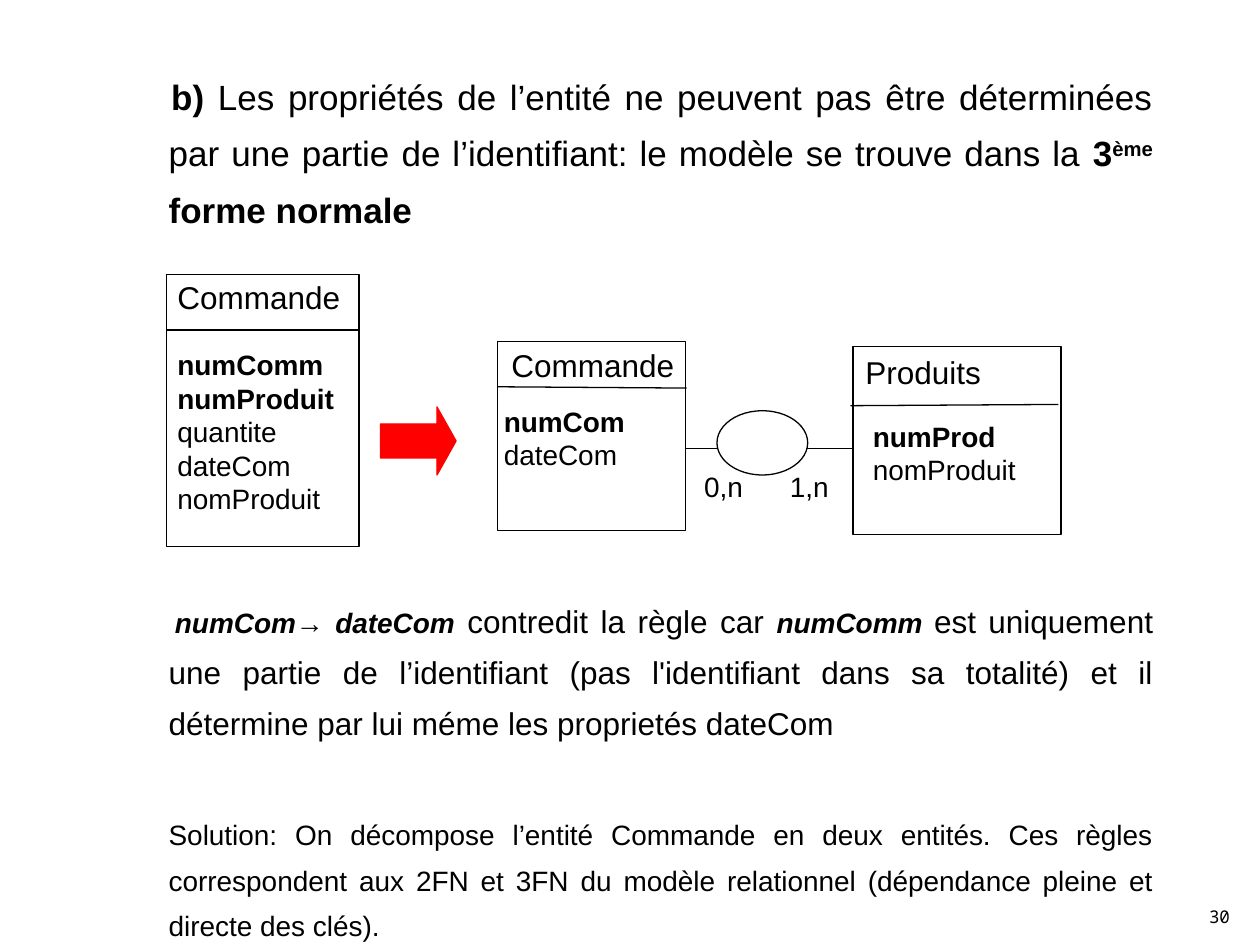
from pptx import Presentation
from pptx.dml.color import RGBColor
from pptx.enum.shapes import MSO_CONNECTOR as Conn, MSO_SHAPE as Geo
from pptx.enum.text import MSO_ANCHOR as Anchor, PP_ALIGN as Align
from pptx.oxml.ns import qn
from pptx.util import Inches, Pt
from lxml.etree import SubElement

deck = Presentation()
deck.slide_width, deck.slide_height = Inches(10), Inches(7.5)
slide = deck.slides.add_slide(deck.slide_layouts[6])
shapes = slide.shapes


def color(code):
    return RGBColor.from_string(code)


def write(para, text, size, bold=False, italic=False, face="Arial"):
    run = para.add_run()
    run.text = text
    font = run.font
    font.name, font.size = face, Pt(size)
    font.bold, font.italic = bold, italic
    font.color.rgb = color("000000")
    return run


# Body text: first-line indent, space before, runs (text, size, bold, italic)
body = [
    (0.02, 0, [
        ("b) ", 20, True, False),
        ("Les propriétés de l’entité ne peuvent pas être déterminées par une "
         "partie de l’identifiant: le modèle se trouve dans la ", 20, False, False),
        ("3", 20, True, False),
        ("ème", 20, True, False),
        (" forme normale", 20, True, False)]),
    (0.05, 205, [
        ("numCom→ dateCom", 16, True, True),
        (" ", 18, False, True),
        ("contredit la règle car ", 18, False, False),
        ("numComm ", 16, True, True),
        ("est uniquement une partie de l’identifiant (pas l'identifiant dans sa "
         "totalité) et il détermine par lui méme les proprietés dateCom",
         18, False, False)]),
    (0, 36.5, [
        ("Solution: On décompose l’entité Commande en deux entités. Ces règles "
         "correspondent aux 2FN et 3FN du modèle relationnel (dépendance pleine "
         "et directe des clés).", 16, False, False)]),
]
frame = shapes.add_textbox(Inches(0.84), Inches(0.43), Inches(8.41), Inches(6.42)).text_frame
frame.word_wrap = True
for i, (indent, gap, runs) in enumerate(body):
    para = frame.add_paragraph() if i else frame.paragraphs[0]
    para.alignment, para.line_spacing = Align.JUSTIFY, 1.35
    para.space_before = Pt(gap)
    props = para._p.get_or_add_pPr()
    props.set("marL", str(Inches(0.4)))
    props.set("indent", str(Inches(indent)))
    for text, size, bold, italic in runs:
        run = write(para, text, size, bold, italic)
        if text == "ème":
            run.font._element.set("baseline", "30000")

# Entity boxes, arrow and association, with the lines in drawing order
parts = [
    (Geo.RECTANGLE, 1.32, 2.18, 1.53, 2.16, "FFFFFF", "000000"),
    (Geo.RECTANGLE, 3.95, 2.71, 1.49, 1.5, "FFFFFF", "000000"),
    (Geo.RECTANGLE, 6.77, 2.75, 1.65, 1.49, "FFFFFF", "000000"),
    (None, 1.32, 2.62, 2.85, 2.62),
    (None, 3.95, 3.07, 5.45, 3.08),
    (None, 6.75, 3.22, 8.4, 3.21),
    (None, 5.44, 3.56, 6.76, 3.56),
    (Geo.RIGHT_ARROW, 3.02, 3.23, 0.6, 0.54, "FF0000", "FF0000"),
    (Geo.OVAL, 5.69, 3.26, 0.72, 0.51, "FFFFFF", "000000"),
]
for geo, *spot in parts:
    place = [Inches(n) for n in spot[:4]]
    if geo is None:
        part = shapes.add_connector(Conn.STRAIGHT, *place)
        SubElement(part._element.spPr, qn("a:effectLst"))
        part.line.color.rgb = color("000000")
    else:
        part = shapes.add_shape(geo, *place)
        part.shadow.inherit = False
        part.fill.solid()
        part.fill.fore_color.rgb = color(spot[4])
        part.line.color.rgb = color(spot[5])
    part.line.width = Pt(0.75)
    if geo == Geo.RIGHT_ARROW:
        part.adjustments[1] = 0.28

# Entity names, properties and cardinalities: bold lines come first
labels = [
    (1.31, 2.16, 1.51, 0.4, 18, [], ["Commande"]),
    (1.31, 2.71, 1.49, 1.45, 16, ["numComm", "numProduit"],
     ["quantite", "dateCom", "nomProduit"]),
    (3.96, 2.7, 1.51, 0.4, 18, [], ["Commande"]),
    (3.9, 3.16, 1.47, 0.64, 16, ["numCom"], ["dateCom"]),
    (6.77, 2.75, 1.65, 0.4, 18, [], ["Produits"]),
    (6.83, 3.28, 1.57, 0.64, 16, ["numProd"], ["nomProduit"]),
    (5.49, 3.68, 0.55, 0.37, 16, [], ["0,n"]),
    (6.17, 3.68, 0.55, 0.37, 16, [], ["1,n"]),
]
for x, y, w, h, size, keys, others in labels:
    frame = shapes.add_textbox(Inches(x), Inches(y), Inches(w), Inches(h)).text_frame
    frame.word_wrap = True
    for i, text in enumerate(keys + others):
        para = frame.add_paragraph() if i else frame.paragraphs[0]
        write(para, text, size, bold=i < len(keys))

# Page number
frame = shapes.add_textbox(Inches(9.46), Inches(7.01), Inches(0.4), Inches(0.4)).text_frame
frame.word_wrap = True
frame.vertical_anchor = Anchor.BOTTOM
para = frame.paragraphs[0]
para.alignment = Align.RIGHT
write(para, "30", 10, face="Noto Sans Mono")

deck.save("out.pptx")
